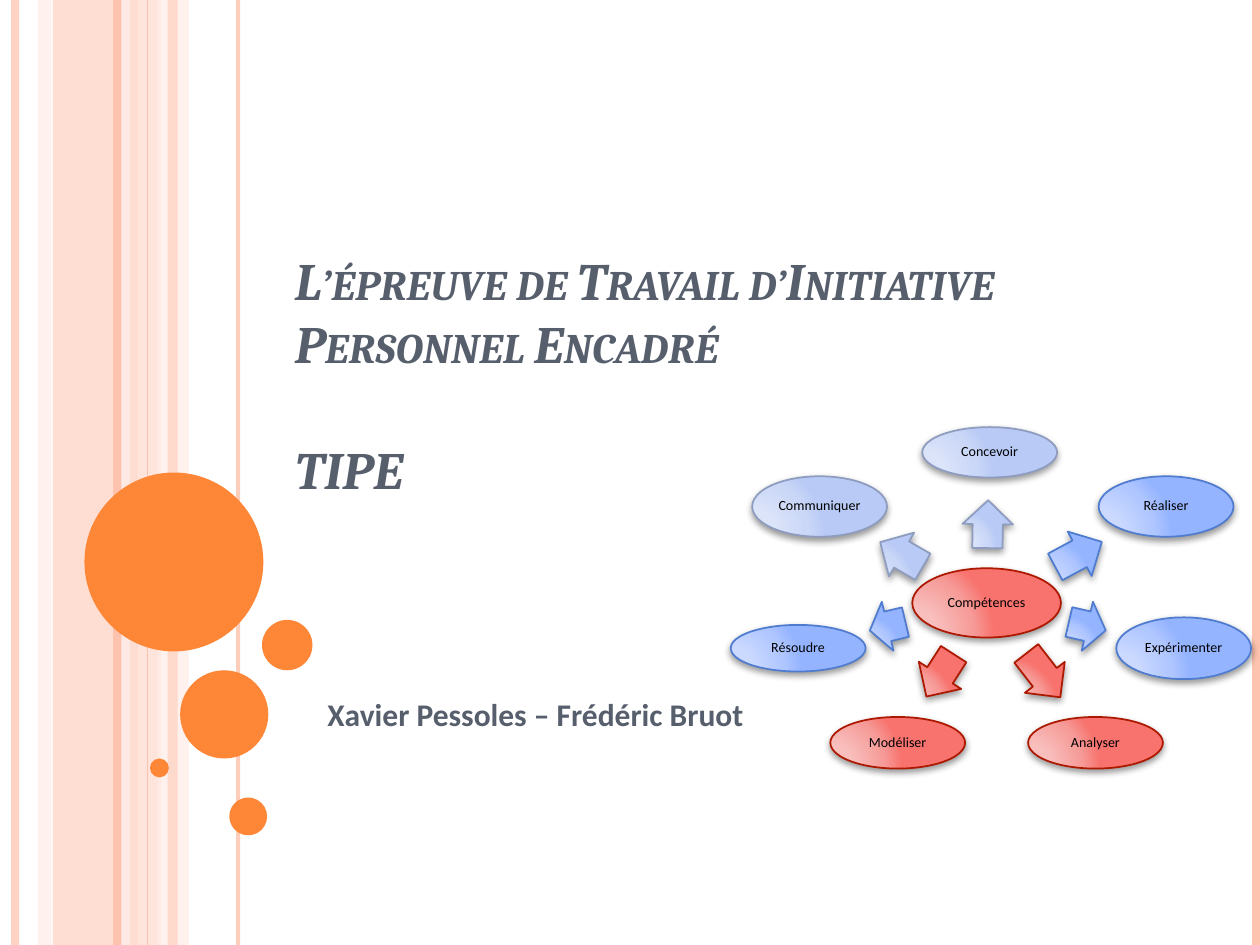
from dataclasses import dataclass
from lxml import etree
from pptx import Presentation
from pptx.dml.color import RGBColor
from pptx.enum.shapes import MSO_CONNECTOR, MSO_SHAPE
from pptx.enum.text import MSO_ANCHOR, MSO_AUTO_SIZE, PP_ALIGN
from pptx.oxml import parse_xml
from pptx.oxml.ns import nsdecls, qn
from pptx.util import Inches, Pt

RECTANGLE, ELLIPSE, ARROW = MSO_SHAPE.RECTANGLE, MSO_SHAPE.OVAL, MSO_SHAPE.RIGHT_ARROW
STRAIGHT = MSO_CONNECTOR.STRAIGHT
TOP, MIDDLE = MSO_ANCHOR.TOP, MSO_ANCHOR.MIDDLE
LEFT, CENTER = PP_ALIGN.LEFT, PP_ALIGN.CENTER
NO_AUTOFIT = MSO_AUTO_SIZE.NONE
TITLE_ONLY = 5
WIDTH, HEIGHT = 10, 7.5


@dataclass(frozen=True)
class Tone:
    stops: tuple
    outline: str


@dataclass(frozen=True)
class Theme:
    title_font: str = "Cambria"
    body_font: str = "Calibri"
    title_size: int = 30
    subtitle_size: int = 18
    label_size: int = 8
    text: str = "575F6D"
    label: str = "000000"
    shadow: str = "000000"
    accent: str = "FE8637"
    peach: str = "FEC3AE"
    pale_peach: str = "FFD9CE"
    faint_peach: str = "FFEDE8"
    red: Tone = Tone(("F8C5C3", "F8BFBD", "F69B98", "F8736E"), "AC1800")
    blue: Tone = Tone(("CFDCFF", "CBD9FF", "AFC6FF", "95B4FF"), "4F7CCF")
    light_blue: Tone = Tone(("DEE6FA", "DBE4F9", "CAD7F7", "B8CAF5"), "8D9CBF")


class SlideBuilder:
    def __init__(self, slide, theme):
        self.slide = slide
        self.theme = theme

    def set_alpha(self, element, percent):
        if percent < 100:
            color = element.find(".//" + qn("a:srgbClr"))
            etree.SubElement(color, qn("a:alpha"), val=str(percent * 1000))

    def style_text(self, paragraph, font, size, color, bold=False, italic=False):
        for run in paragraph.runs:
            run.font.name = font
            run.font.size = Pt(size)
            run.font.color.rgb = RGBColor.from_string(color)
            run.font.bold = bold
            run.font.italic = italic

    def preset(self, kind, left, top, width, height):
        shape = self.slide.shapes.add_shape(
            kind, Inches(left), Inches(top), Inches(width), Inches(height))
        shape.shadow.inherit = False
        return shape

    def flat(self, kind, left, top, width, height, color, alpha=100):
        shape = self.preset(kind, left, top, width, height)
        shape.fill.solid()
        shape.fill.fore_color.rgb = RGBColor.from_string(color)
        self.set_alpha(shape._element.spPr, alpha)
        shape.line.fill.background()

    def stripe(self, x, color, weight, alpha=100):
        line = self.slide.shapes.add_connector(
            STRAIGHT, Inches(x), 0, Inches(x), Inches(HEIGHT))
        line.line.color.rgb = RGBColor.from_string(color)
        line.line.width = Pt(weight)
        properties = line._element.spPr
        self.set_alpha(properties, alpha)
        etree.SubElement(properties, qn("a:effectLst"))

    def glossy(self, kind, left, top, width, height, tone):
        shape = self.preset(kind, left, top, width, height)
        properties = shape._element.spPr
        stops = "".join(
            f'<a:gs pos="{position * 1000}"><a:srgbClr val="{color}"/></a:gs>'
            for position, color in zip((0, 30, 75, 100), tone.stops))
        gradient = parse_xml(
            f'<a:gradFill {nsdecls("a")} rotWithShape="1"><a:gsLst>{stops}</a:gsLst>'
            '<a:path path="circle"><a:fillToRect l="5000" t="100000" r="120000" '
            'b="10000"/></a:path></a:gradFill>')
        properties.find(qn("a:prstGeom")).addnext(gradient)
        shape.line.color.rgb = RGBColor.from_string(tone.outline)
        shape.line.width = Pt(1)
        properties.find(qn("a:effectLst")).append(parse_xml(
            f'<a:outerShdw {nsdecls("a")} blurRad="{Pt(4)}" dist="{Pt(2)}" '
            f'dir="5400000" rotWithShape="0"><a:srgbClr val="{self.theme.shadow}">'
            '<a:alpha val="40000"/></a:srgbClr></a:outerShdw>'))
        return shape

    def bubble(self, text, left, top, width, height, tone):
        frame = self.glossy(ELLIPSE, left, top, width, height, tone).text_frame
        frame.margin_left = frame.margin_right = Inches(0.01)
        frame.margin_top = frame.margin_bottom = Inches(0.01)
        frame.vertical_anchor = MIDDLE
        frame.word_wrap = True
        frame.text = text
        paragraph = frame.paragraphs[0]
        paragraph.alignment = CENTER
        paragraph.line_spacing = 0.9
        self.style_text(paragraph, self.theme.body_font, self.theme.label_size,
                        self.theme.label)

    def arrow(self, left, top, width, angle, tone):
        shape = self.glossy(ARROW, left, top, width, 0.4, tone)
        shape.adjustments[0], shape.adjustments[1] = 0.6, 0.5
        shape.rotation = angle

    def title(self, lines, left, top, width, height, gap):
        title = self.slide.shapes.title
        title.left, title.top = Inches(left), Inches(top)
        title.width, title.height = Inches(width), Inches(height)
        # Bring the title in front of the decoration
        self.slide.shapes._spTree.append(title._element)
        frame = title.text_frame
        frame.auto_size = NO_AUTOFIT
        frame.word_wrap = True
        frame.vertical_anchor = MIDDLE
        frame.text = "\n".join(lines)
        for index, paragraph in enumerate(frame.paragraphs):
            paragraph.alignment = LEFT
            paragraph.space_before = Pt(gap if index else 0)
            self.style_text(paragraph, self.theme.title_font, self.theme.title_size,
                            self.theme.text, bold=True, italic=True)
            for run in paragraph.runs:
                run.font._element.set("cap", "small")

    def subtitle(self, text, left, top, width, height):
        box = self.slide.shapes.add_textbox(
            Inches(left), Inches(top), Inches(width), Inches(height))
        frame = box.text_frame
        frame.word_wrap = True
        frame.vertical_anchor = TOP
        frame.text = text
        paragraph = frame.paragraphs[0]
        paragraph.space_before = Pt(6)
        self.style_text(paragraph, self.theme.body_font, self.theme.subtitle_size,
                        self.theme.text, bold=True)


theme = Theme()
presentation = Presentation()
presentation.slide_width, presentation.slide_height = Inches(WIDTH), Inches(HEIGHT)
slide = presentation.slides.add_slide(presentation.slide_layouts[TITLE_ONLY])
builder = SlideBuilder(slide, theme)

# Vertical bands: left, width, colour, opacity
for left, width, color, alpha in (
        (0.42, 0.67, theme.peach, 54), (0.3, 0.11, theme.pale_peach, 36),
        (1.08, 0.2, theme.pale_peach, 70), (1.25, 0.25, theme.faint_peach, 71)):
    builder.flat(RECTANGLE, left, 0, width, HEIGHT, color, alpha)

# Vertical stripes: x, colour, weight, opacity
for x, color, weight, alpha in (
        (0.12, theme.peach, 4.5, 73), (1, theme.faint_peach, 4.5, 83),
        (0.93, theme.peach, 4.5, 100), (1.89, theme.peach, 2.25, 82),
        (1.17, theme.peach, 0.75, 100), (9.97, theme.peach, 4.5, 100)):
    builder.stripe(x, color, weight, alpha)
builder.flat(RECTANGLE, 1.33, 0, 0.08, HEIGHT, theme.peach, 51)

# Orange discs: left, top, diameter
for left, top, diameter in ((0.67, 3.75, 1.42), (1.43, 5.32, 0.7), (1.19, 6.02, 0.15),
                            (1.82, 6.33, 0.3), (2.08, 4.92, 0.4)):
    builder.flat(ELLIPSE, left, top, diameter, diameter, theme.accent)

# Title and authors
builder.title(("L’épreuve de Travail d’Initiative Personnel Encadré", "TIPE"),
              2.24, 0.92, 7.01, 4.1, gap=36)
builder.subtitle("Xavier Pessoles – Frédéric Bruot", 2.5, 5.47, 6.75, 1.5)

# Skills wheel: hub, then arrow (left, top, width, angle) and bubble (left, top, height)
builder.bubble("Compétences", 7.24, 4.51, 1.18, 0.55, theme.red)
skills = (
    ("Concevoir", theme.light_blue, (7.65, 3.96, 0.38, 270.9), (7.32, 3.39, 0.4)),
    ("Réaliser", theme.blue, (8.35, 4.2, 0.42, 331.7), (8.72, 3.78, 0.48)),
    ("Expérimenter", theme.blue, (8.48, 4.77, 0.3, 12.9), (8.86, 4.9, 0.49)),
    ("Analyser", theme.red, (8.06, 5.16, 0.44, 52.2), (8.16, 5.69, 0.41)),
    ("Modéliser", theme.red, (7.26, 5.16, 0.4, 122.7), (6.59, 5.69, 0.41)),
    ("Résoudre", theme.blue, (6.9, 4.77, 0.29, 166.6), (5.8, 4.96, 0.37)),
    ("Communiquer", theme.light_blue, (6.96, 4.2, 0.39, 210), (5.97, 3.78, 0.48)),
)
for name, tone, arrow, (left, top, height) in skills:
    builder.arrow(*arrow, tone)
    builder.bubble(name, left, top, 1.07, height, tone)

presentation.save("out.pptx")
